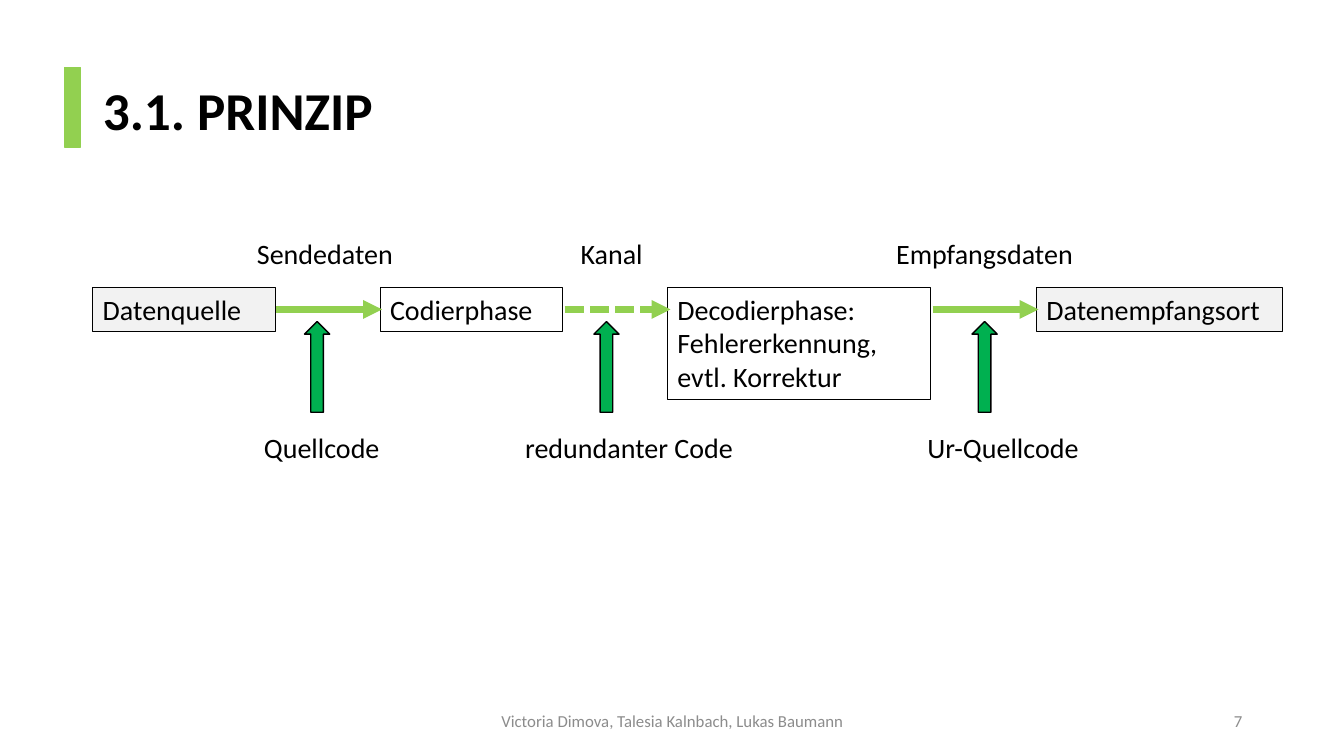
"""Builds the slide on the principle of error-correcting coding."""
from dataclasses import dataclass

from lxml import etree
from pptx import Presentation
from pptx.dml.color import RGBColor
from pptx.enum.dml import MSO_LINE
from pptx.enum.shapes import MSO_CONNECTOR, MSO_SHAPE
from pptx.enum.text import MSO_ANCHOR, PP_ALIGN
from pptx.oxml.ns import qn
from pptx.util import Inches, Pt

RECTANGLE, UP_ARROW = MSO_SHAPE.RECTANGLE, MSO_SHAPE.UP_ARROW
STRAIGHT = MSO_CONNECTOR.STRAIGHT
SHORT_DASH = MSO_LINE.SQUARE_DOT
LEFT, CENTER, RIGHT = PP_ALIGN.LEFT, PP_ALIGN.CENTER, PP_ALIGN.RIGHT
TOP, MIDDLE = MSO_ANCHOR.TOP, MSO_ANCHOR.MIDDLE

FONT = "Calibri"
BLACK, GREY, PALE = "000000", "8C8C8C", "F2F2F2"
LIME, GREEN = "92D050", "00B050"
STAGE_TOP, FLOW_Y = 2.85, 3.07
ROW_HEIGHT = 0.44
DATA_TOP, CODE_TOP, POINTER_TOP = 2.3, 4.22, 3.19
FOOTER_TOP, FOOTER_HEIGHT = 6.95, 0.4


@dataclass
class Stage:
    """A framed step of the transmission chain."""
    text: str
    left: float
    width: float
    height: float = ROW_HEIGHT
    fill: str | None = None


@dataclass
class Link:
    """A transfer between two stages with its data and code labels."""
    start: float
    pointer_left: float
    data: str
    data_left: float
    data_width: float
    code: str
    code_left: float
    code_width: float
    dashed: bool = False


STAGES = [
    Stage("Datenquelle", 0.92, 1.81, fill=PALE),
    Stage("Codierphase", 3.77, 1.81),
    Stage("Decodierphase: Fehlererkennung, evtl. Korrektur", 6.62, 2.61, 1.11),
    Stage("Datenempfangsort", 10.28, 2.44, fill=PALE),
]
LINKS = [
    Link(2.74, 3.02, "Sendedaten", 2.45, 1.63, "Quellcode", 2.52, 1.5),
    Link(5.6, 5.89, "Kanal", 5.66, 1.63, "redundanter Code", 5.11, 2.73, True),
    Link(9.25, 9.64, "Empfangsdaten", 8.79, 2.44, "Ur-Quellcode", 9.1, 2.01),
]


def color(value: str) -> RGBColor:
    """Turn a hex string into a colour."""
    return RGBColor.from_string(value)


def write(box, text: str, *, size=20, ink=BLACK, bold=False, align=LEFT, anchor=TOP):
    """Put one formatted paragraph into a shape and return it."""
    frame = box.text_frame
    frame.word_wrap = True
    frame.vertical_anchor = anchor
    para = frame.paragraphs[0]
    para.alignment = align
    span = para.add_run()
    span.text = text
    span.font.name = FONT
    span.font.size = Pt(size)
    span.font.bold = bold
    span.font.color.rgb = color(ink)
    return para


def add_label(page, text: str, left: float, top: float, width: float,
              height: float = ROW_HEIGHT, **style) -> None:
    """Add a text box with one formatted paragraph."""
    box = page.shapes.add_textbox(Inches(left), Inches(top), Inches(width), Inches(height))
    write(box, text, **style)


def add_figure(page, kind, left: float, top: float, width: float, height: float,
               *, fill: str | None, line: str = BLACK, weight: float = 1):
    """Add an outlined preset shape without a shadow."""
    box = page.shapes.add_shape(kind, Inches(left), Inches(top), Inches(width), Inches(height))
    box.shadow.inherit = False
    if fill:
        box.fill.solid()
        box.fill.fore_color.rgb = color(fill)
    else:
        box.fill.background()
    box.line.color.rgb = color(line)
    box.line.width = Pt(weight)
    return box


def add_flow(page, start: float, dashed: bool) -> None:
    """Add a horizontal arrow between two stages."""
    arrow = page.shapes.add_connector(
        STRAIGHT, Inches(start), Inches(FLOW_Y), Inches(start + 1.05), Inches(FLOW_Y))
    arrow.line.color.rgb = color(LIME)
    arrow.line.width = Pt(4.5)
    if dashed:
        arrow.line.dash_style = SHORT_DASH
    properties = arrow.element.spPr
    etree.SubElement(properties.find(qn("a:ln")), qn("a:tailEnd"), type="triangle")
    etree.SubElement(properties, qn("a:effectLst"))


def add_stage(page, stage: Stage) -> None:
    """Add one framed stage with its text."""
    box = add_figure(page, RECTANGLE, stage.left, STAGE_TOP, stage.width, stage.height,
                     fill=stage.fill, weight=0.75)
    write(box, stage.text)


def add_link(page, link: Link) -> None:
    """Add the flow arrow, both labels and the pointer of a link."""
    add_flow(page, link.start, link.dashed)
    add_label(page, link.data, link.data_left, DATA_TOP, link.data_width)
    add_figure(page, UP_ARROW, link.pointer_left, POINTER_TOP, 0.25, 0.9, fill=GREEN)
    add_label(page, link.code, link.code_left, CODE_TOP, link.code_width)


def add_title(page, text: str) -> None:
    """Fill the title placeholder and add its accent bar."""
    title = page.shapes.title
    title.left, title.top = Inches(0.92), Inches(0.4)
    title.width, title.height = Inches(11.5), Inches(1.45)
    para = write(title, text, size=38, bold=True, anchor=MIDDLE)
    para.line_spacing = 0.9
    add_figure(page, RECTANGLE, 0.64, 0.67, 0.16, 0.79, fill=LIME, line=LIME)


def add_footer(page, authors: str, number: str) -> None:
    """Add the author line and the page number."""
    for text, left, width, align in ((authors, 4.42, 4.5, CENTER), (number, 9.42, 3, RIGHT)):
        add_label(page, text, left, FOOTER_TOP, width, FOOTER_HEIGHT,
                  size=12, ink=GREY, align=align, anchor=MIDDLE)


def main() -> None:
    """Build and save the deck."""
    deck = Presentation()
    deck.slide_width, deck.slide_height = Inches(13.33), Inches(7.5)
    page = deck.slides.add_slide(deck.slide_layouts.get_by_name("Title Only"))
    add_title(page, "3.1. PRINZIP")
    for stage in STAGES:
        add_stage(page, stage)
    for link in LINKS:
        add_link(page, link)
    add_footer(page, "Victoria Dimova, Talesia Kalnbach, Lukas Baumann", "7")
    deck.save("out.pptx")


main()
